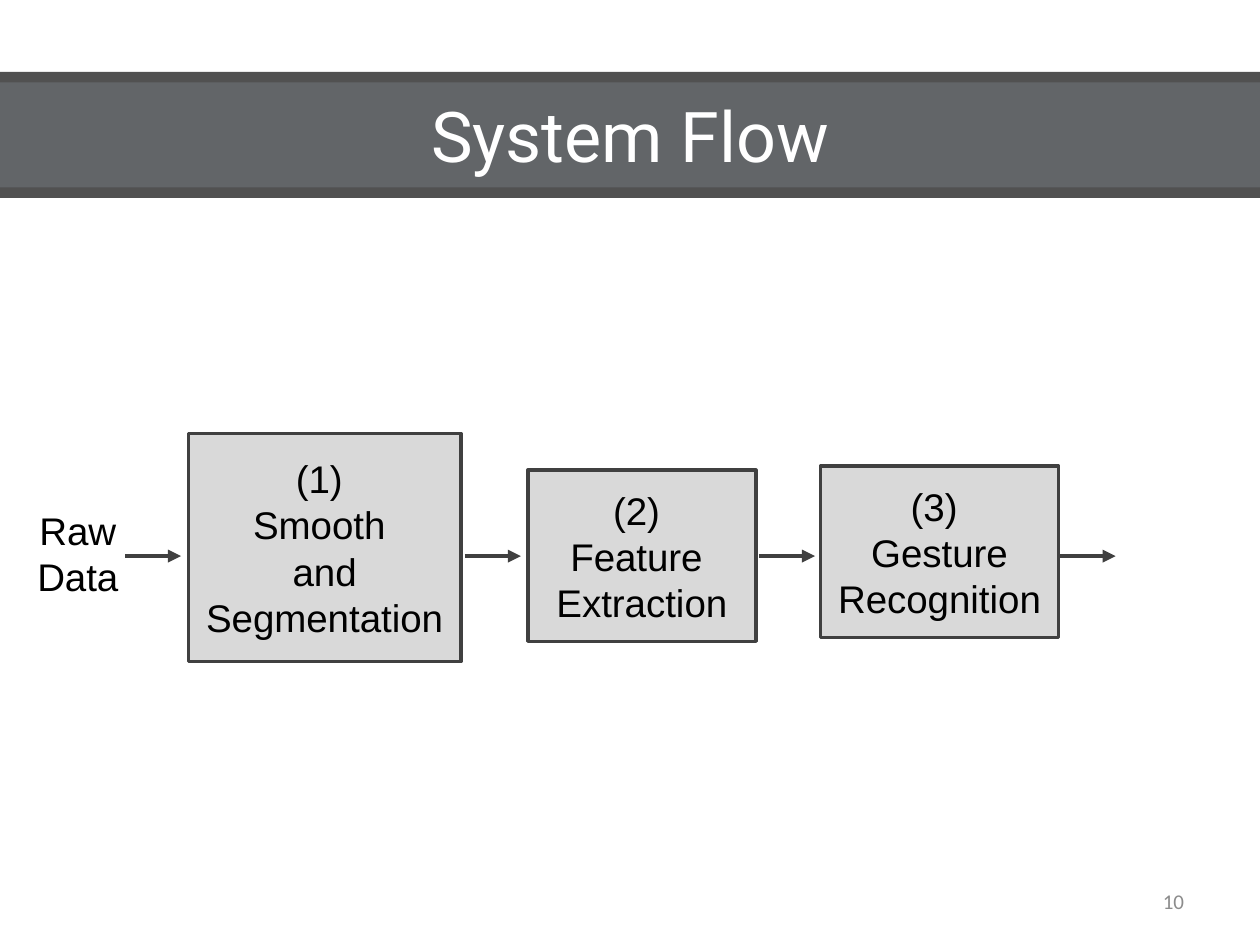
from pptx import Presentation
from pptx.dml.color import RGBColor
from pptx.enum.shapes import MSO_CONNECTOR as Link, MSO_SHAPE as Form
from pptx.enum.text import MSO_ANCHOR as Anchor, PP_ALIGN as Align
from pptx.oxml.ns import qn
from pptx.oxml.xmlchemy import OxmlElement as Node
from pptx.util import Cm, Pt


def paint(fill, hue, alpha=100):
    """Make a fill solid; alpha is its opacity in percent."""
    fill.solid()
    fill.fore_color.rgb = RGBColor.from_string(hue)
    if alpha < 100:
        node = Node("a:alpha")
        node.set("val", str(alpha * 1000))
        fill._xPr.find(".//" + qn("a:srgbClr")).append(node)


def write(shape, text, size=22, face="Arial", hue="000000", align=Align.CENTER):
    frame = shape.text_frame
    frame.text = text
    frame.word_wrap = True
    frame.vertical_anchor = Anchor.MIDDLE
    frame.margin_left = frame.margin_right = 0
    frame.margin_top = frame.margin_bottom = 0
    for par in frame.paragraphs:
        par.alignment = align
        par.font.size = Pt(size)
        par.font.name = face
        paint(par.font.fill, hue)


deck = Presentation()
deck.slide_width, deck.slide_height = Cm(25.4), Cm(19.05)
slide = deck.slides.add_slide(deck.slide_layouts[5])
shapes = slide.shapes

# Title on a dark band
band = shapes.add_shape(Form.RECTANGLE, 0, Cm(1.45), Cm(25.4), Cm(2.54))
band.shadow.inherit = False
paint(band.fill, "262626", 80)
band.line.fill.background()

title = shapes.title
title.left, title.top, title.width, title.height = 0, Cm(1.66), Cm(25.4), Cm(2.12)
paint(title.fill, "C6D9F1", 15)
write(title, "System Flow", 40, "Roboto", "FFFFFF")
band._element.addnext(title._element)

# Flow steps: left, top, width, height, text
steps = [
    (3.8, 8.74, 5.49, 4.6, "(1) \nSmooth \nand Segmentation"),
    (10.64, 9.48, 4.6, 3.45, "(2) \nFeature \nExtraction"),
    (16.54, 9.4, 4.8, 3.45, "(3) \nGesture Recognition"),
]
for left, top, width, height, text in steps:
    box = shapes.add_shape(Form.RECTANGLE, Cm(left), Cm(top), Cm(width), Cm(height))
    box.shadow.inherit = False
    paint(box.fill, "D9D9D9")
    paint(box.line.fill, "404040")
    box.line.width = Pt(2)
    write(box, text)

raw = shapes.add_textbox(Cm(0.3), Cm(9.42), Cm(2.54), Cm(3.45))
write(raw, "Raw\nData")

# Arrows of equal length between the steps
for left in (2.52, 9.37, 15.3, 21.36):
    arrow = shapes.add_connector(Link.STRAIGHT, Cm(left), Cm(11.21), Cm(left + 1.13), Cm(11.21))
    paint(arrow.line.fill, "404040")
    arrow.line.width = Pt(2.5)
    tip = Node("a:tailEnd")
    tip.set("type", "triangle")
    arrow.line._ln.append(tip)
    arrow._element.spPr.append(Node("a:effectLst"))

page = shapes.add_textbox(Cm(18.2), Cm(17.66), Cm(5.67), Cm(1.01))
write(page, "10", 12, "Calibri", "8C8C8C", Align.RIGHT)

deck.save("out.pptx")
